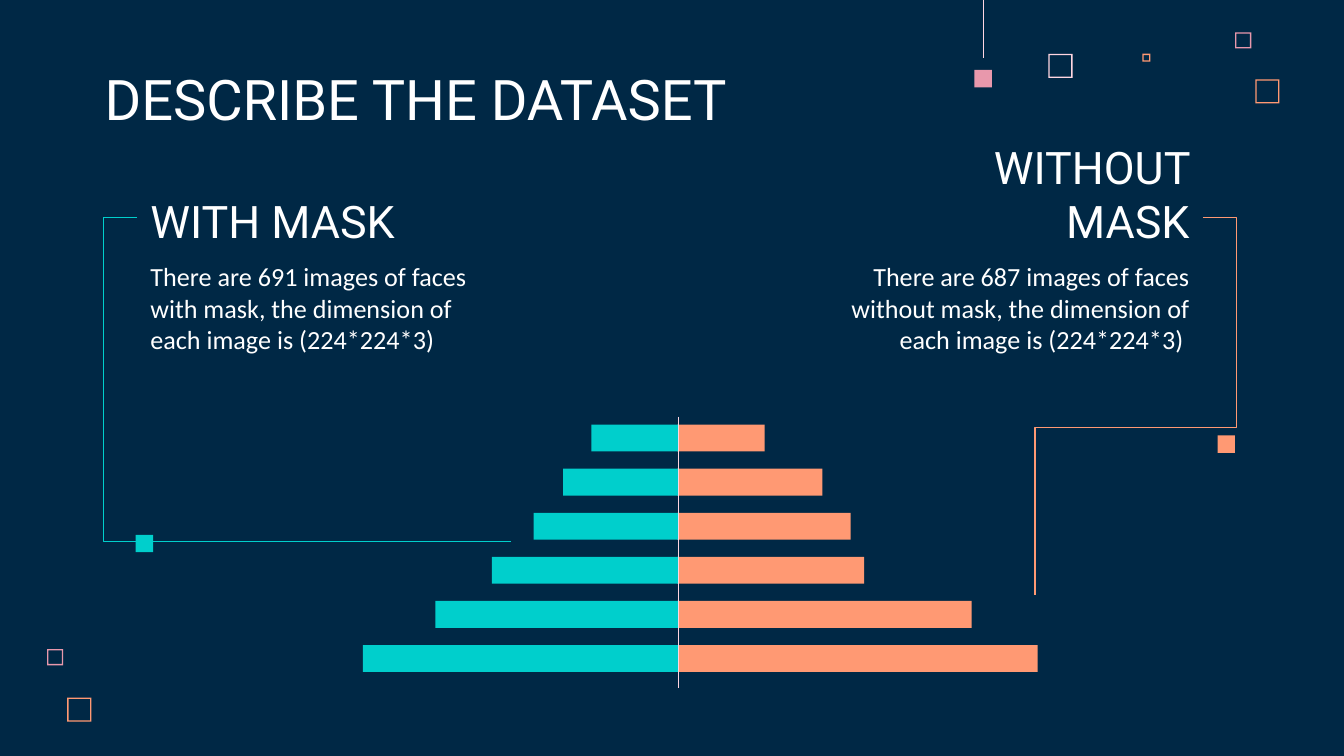
from dataclasses import dataclass

from pptx import Presentation
from pptx import util as u
from pptx.dml.color import RGBColor
from pptx.enum import shapes, text
from pptx.oxml import ns, xmlchemy


@dataclass(frozen=True)
class Theme:
    """Colours, fonts and type sizes of the slide."""
    navy: str = "002845"
    white: str = "FFFFFF"
    blush: str = "FFD6E1"
    pink: str = "E898AC"
    orange: str = "FF9973"
    teal: str = "00CFCC"
    head_font: str = "Roboto"
    body_font: str = "Calibri"
    title: int = 30
    heading: int = 24
    body: int = 14
    rule: float = 0.75
    hairline: float = 0.5


class Painter:
    """Draws styled elements on the current slide."""

    def __init__(self, page, theme):
        """Keep the slide and theme, and paint the background."""
        self.page, self.theme = page, theme
        fill = page.background.fill
        fill.solid()
        fill.fore_color.rgb = RGBColor.from_string(theme.navy)

    def shape(self, kind, left, top, width, height, color):
        """Add a filled preset shape without outline or shadow."""
        box = self.page.shapes.add_shape(
            kind, *map(u.Inches, (left, top, width, height)))
        box.shadow.inherit = False
        box.fill.solid()
        box.fill.fore_color.rgb = RGBColor.from_string(color)
        box.line.fill.background()
        return box

    def block(self, left, top, width, height, color):
        """Add a solid rectangle."""
        return self.shape(shapes.MSO_SHAPE.RECTANGLE, left, top, width, height, color)

    def frame(self, left, top, size, color):
        """Add a thin hollow square."""
        box = self.shape(shapes.MSO_SHAPE.FRAME, left, top, size, size, color)
        box.adjustments[0] = 0.01 / size

    def words(self, content, left, top, width, height, font, size, align="LEFT", anchor="TOP"):
        """Add a wrapped text box with one paragraph."""
        box = self.page.shapes.add_textbox(*map(u.Inches, (left, top, width, height)))
        layout = {"word_wrap": True, "auto_size": text.MSO_AUTO_SIZE.NONE,
                  "vertical_anchor": text.MSO_ANCHOR[anchor]}
        layout.update({f"margin_{side}": u.Inches(0.1)
                       for side in ("left", "top", "right", "bottom")})
        for name, value in layout.items():
            setattr(box.text_frame, name, value)
        para = box.text_frame.paragraphs[0]
        para.alignment = text.PP_ALIGN[align]
        span = para.add_run()
        span.text = content
        for name, value in {"name": font, "size": u.Pt(size)}.items():
            setattr(span.font, name, value)
        span.font.color.rgb = RGBColor.from_string(self.theme.white)

    def line(self, start, end, color, weight, bends=()):
        """Add a straight line, or an elbow with the given bend ratios."""
        kind = shapes.MSO_CONNECTOR.ELBOW if bends else shapes.MSO_CONNECTOR.STRAIGHT
        link = self.page.shapes.add_connector(kind, *map(u.Inches, (*start, *end)))
        link.line.width = u.Pt(weight)
        link.line.color.rgb = RGBColor.from_string(color)
        props = link._element.spPr
        props.append(xmlchemy.OxmlElement("a:effectLst"))
        if bends:
            geometry = props.find(ns.qn("a:prstGeom"))
            geometry.set("prst", f"bentConnector{len(bends) + 2}")
            guides = geometry.find(ns.qn("a:avLst"))
            for number, ratio in enumerate(bends, 1):
                guide = xmlchemy.OxmlElement("a:gd")
                guide.set("name", f"adj{number}")
                guide.set("fmla", f"val {round(ratio * 100000)}")
                guides.append(guide)


def main():
    """Build the dataset slide and save it."""
    deck = Presentation()
    deck.slide_width, deck.slide_height = u.Inches(10), u.Inches(10) * 9 // 16
    theme = Theme()
    painter = Painter(deck.slides.add_slide(deck.slide_layouts[6]), theme)

    for left, top, size, color in (
            (7.8, 0.4, 0.18, theme.blush), (9.19, 0.24, 0.12, theme.pink),
            (8.5, 0.4, 0.06, theme.orange), (9.34, 0.59, 0.18, theme.orange),
            (0.35, 4.83, 0.12, theme.pink), (0.5, 5.19, 0.18, theme.orange)):
        painter.frame(left, top, size, color)
    painter.line((7.32, 0), (7.32, 0.43), theme.blush, theme.hairline)

    painter.words("DESCRIBE THE DATASET", 0.68, 0.45, 6.73, 0.63,
                  theme.head_font, theme.title, anchor="BOTTOM")
    for heading, head_left, head_width, body, body_left, body_width, align in (
            ("WITH MASK", 1.02, 2.06,
             "There are 691 images of faces with mask, the dimension of "
             "each image is (224*224*3)", 1.02, 2.85, "LEFT"),
            ("WITHOUT MASK", 6.5, 2.45,
             "There are 687 images of faces without mask, the dimension of "
             "each image is (224*224*3) ", 6.16, 2.79, "RIGHT")):
        painter.words(heading, head_left, 1.31, head_width, 0.63,
                      theme.head_font, theme.heading, align, "BOTTOM")
        painter.words(body, body_left, 1.84, body_width, 1.22,
                      theme.body_font, theme.body, align)

    axis, first_top, last_top, thickness = 5.05, 3.16, 4.8, 0.2
    with_mask = (0.65, 0.86, 1.08, 1.39, 1.81, 2.35)
    without_mask = (0.65, 1.08, 1.29, 1.39, 2.19, 2.68)
    pitch = (last_top - first_top) / (len(with_mask) - 1)
    for row, (teal_width, orange_width) in enumerate(zip(with_mask, without_mask)):
        top = first_top + row * pitch
        painter.block(axis - 0.01, top, orange_width, thickness, theme.orange)
        painter.block(axis - teal_width, top, teal_width, thickness, theme.teal)
    painter.line((axis, 3.1), (axis, 5.12), theme.blush, theme.rule)

    painter.line((1.02, 1.62), (3.8, 4.03), theme.teal, theme.rule, (-0.09,))
    painter.line((8.95, 1.62), (7.7, 4.43), theme.orange, theme.rule, (-0.2, 0.556))
    for left, top, color in ((7.25, 0.52, theme.pink), (1.01, 3.98, theme.teal),
                             (9.06, 3.24, theme.orange)):
        painter.block(left, top, 0.13, 0.13, color)

    deck.save("out.pptx")


if __name__ == "__main__":
    main()
